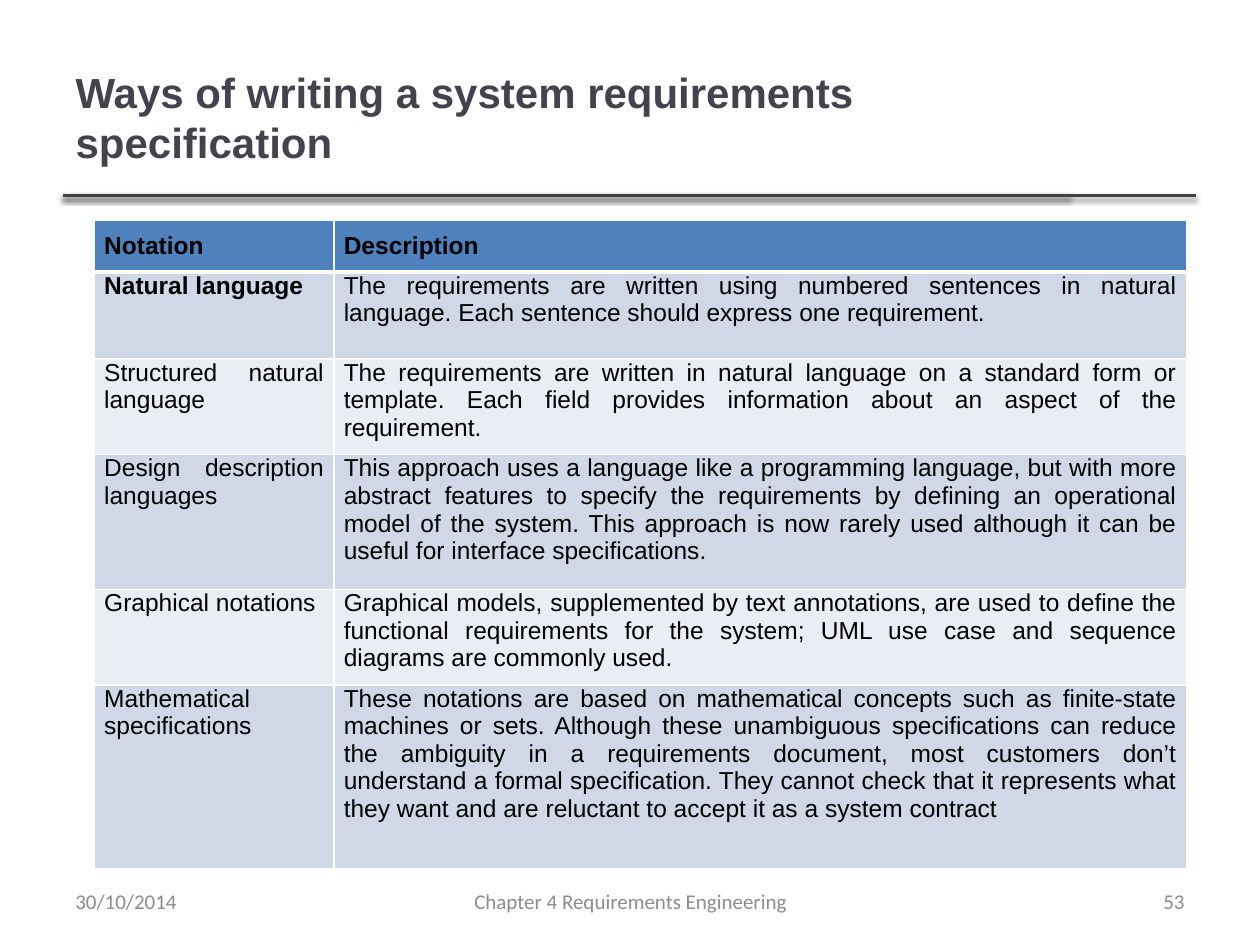
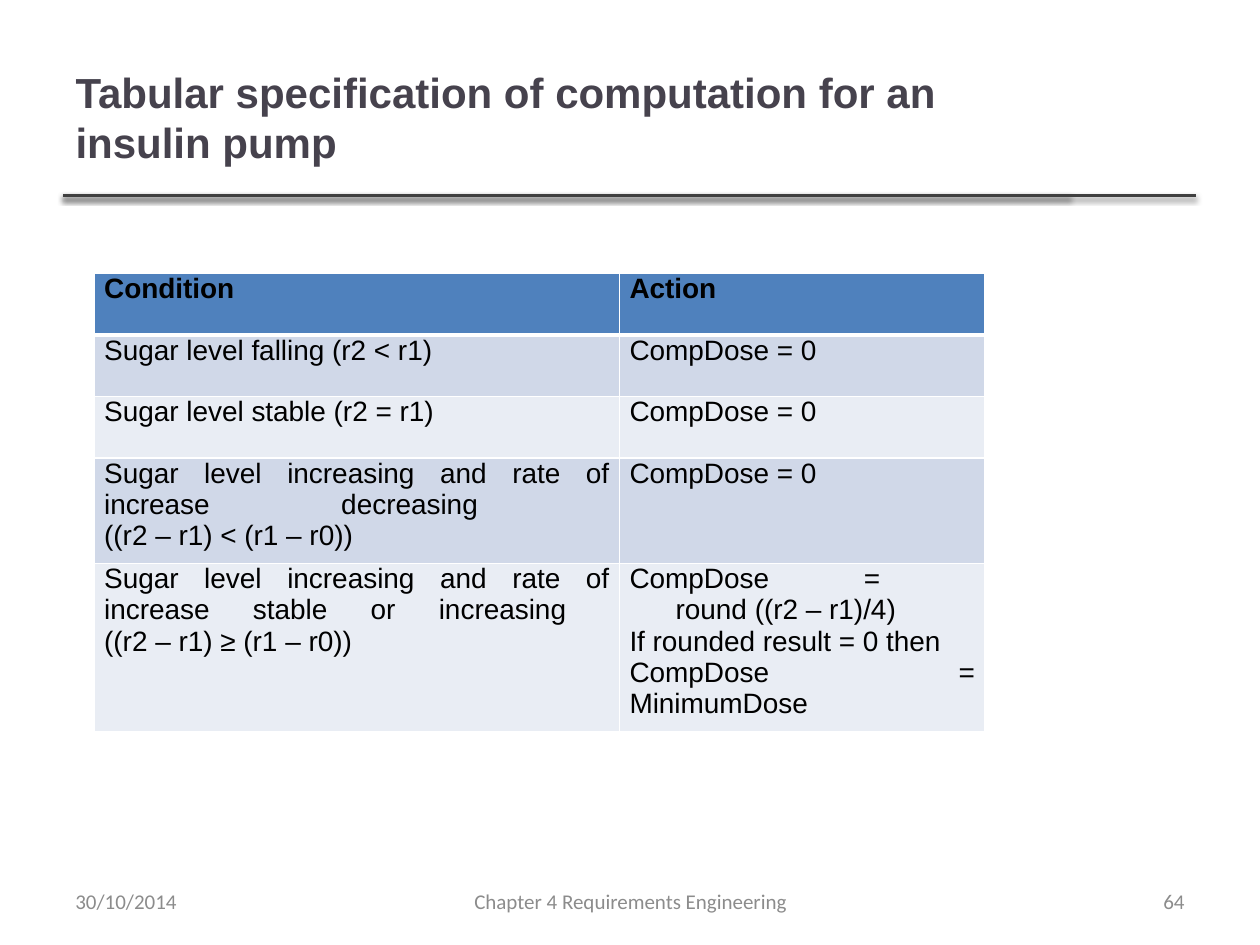
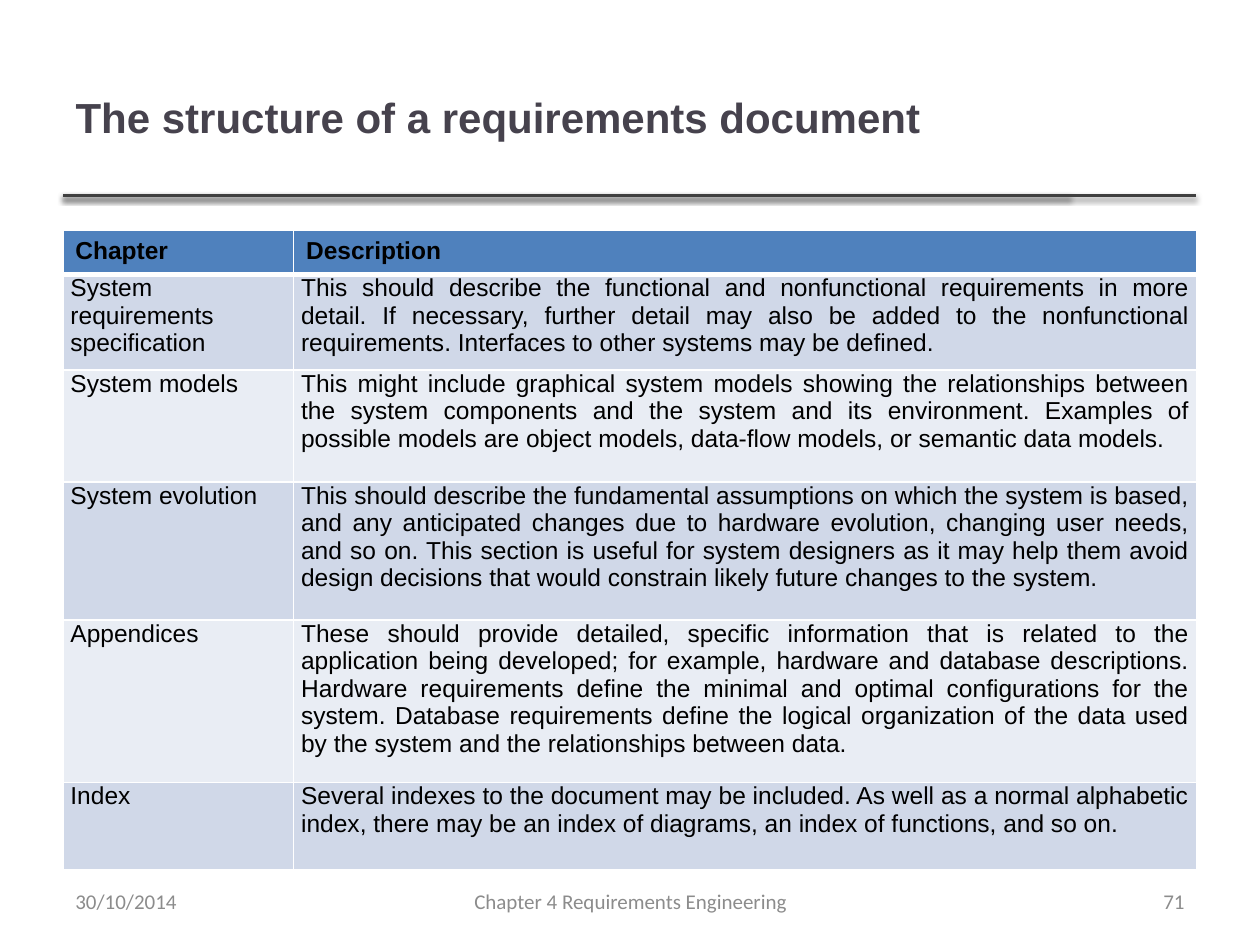
from copy import deepcopy
from dataclasses import dataclass

from lxml import etree
from pptx import Presentation
from pptx.dml.color import RGBColor
from pptx.enum import shapes, text
from pptx.oxml import ns, parse_xml
from pptx.util import Cm, Pt

# Shared look
HUES = {
    "ink": "000000", "title": "46424D", "rule": "404040", "foot": "8C8C8C",
    "head": "4F81BD", "odd": "D0D8E8", "even": "E9EDF4", "edge": "FFFFFF",
}
LEFT, MID, RIGHT, FULL = (
    text.PP_ALIGN.LEFT, text.PP_ALIGN.CENTER, text.PP_ALIGN.RIGHT, text.PP_ALIGN.JUSTIFY)
TITLE = {"name": "Arial", "size": Pt(24), "bold": True}
FOOT = {"name": "Calibri", "size": Pt(12), "bold": False}
BOX = {"word_wrap": True, "auto_size": text.MSO_AUTO_SIZE.NONE,
       "vertical_anchor": text.MSO_ANCHOR.MIDDLE}
RULE_Y = 3.94
HANG = 0.93
SHADOW = (
    f'<a:effectLst {ns.nsdecls("a")}><a:outerShdw blurRad="{Pt(3.1)}" dist="{Pt(1.6)}" '
    'dir="5400000" rotWithShape="0"><a:srgbClr val="000000"><a:alpha val="38000"/>'
    '</a:srgbClr></a:outerShdw></a:effectLst>')

Cell = str | tuple[str, ...]  # a tuple holds several paragraphs
Pad = tuple[float, float, float, float]  # left, top, right, bottom


@dataclass
class Grid:
    left: float
    top: float
    cols: list[float]
    rows: list[float]
    size: int
    pad: Pad
    head_pad: Pad
    aligns: tuple  # of the header cells
    cells: list[tuple[Cell, Cell]]
    bold: tuple = ()  # bold cells below the header


@dataclass
class Page:
    title: str
    number: int
    grid: Grid


# Helpers
def rgb(hue: str) -> RGBColor:
    return RGBColor.from_string(HUES[hue])


def apply(obj, values: dict) -> None:
    for key, value in values.items():
        setattr(obj, key, value)


def write(para, words: str, look: dict, hue: str, align) -> None:
    """Fill a paragraph; a newline is a line break with the same font."""
    para.text = words
    para.alignment = align
    for run in para.runs:
        apply(run.font, look)
        run.font.color.rgb = rgb(hue)
    for gap in para._p.findall(ns.qn("a:br")):
        gap.append(deepcopy(para.runs[0]._r.rPr))


def add_rule(slide, end: float) -> None:
    line = slide.shapes.add_connector(
        shapes.MSO_CONNECTOR.STRAIGHT, Cm(1.27), Cm(RULE_Y), Cm(end), Cm(RULE_Y))
    line.line.width = Pt(2)
    line.line.color.rgb = rgb("rule")
    line._element.spPr.append(parse_xml(SHADOW))


def add_foot(slide, left: float, width: float, words: str, align) -> None:
    box = slide.shapes.add_textbox(Cm(left), Cm(17.65), Cm(width), Cm(1.02))
    apply(box.text_frame, BOX)
    write(box.text_frame.paragraphs[0], words, FOOT, "foot", align)


def add_edges(cell, row: int) -> None:
    props = cell._tc.get_or_add_tcPr()
    widths = {"L": 1, "R": 1, "T": 3 if row == 1 else 1, "B": 3 if row == 0 else 1}
    for side, width in widths.items():
        edge = etree.SubElement(props, ns.qn(f"a:ln{side}"), w=str(Pt(width)))
        fill = etree.SubElement(edge, ns.qn("a:solidFill"))
        etree.SubElement(fill, ns.qn("a:srgbClr"), val=HUES["edge"])


def fill_cell(cell, grid: Grid, row: int, col: int) -> None:
    head = row == 0
    sides = ("margin_left", "margin_top", "margin_right", "margin_bottom")
    apply(cell, dict(zip(sides, map(Cm, grid.head_pad if head else grid.pad))))
    add_edges(cell, row)
    cell.fill.solid()
    cell.fill.fore_color.rgb = rgb("head" if head else "odd" if row % 2 else "even")

    words = grid.cells[row][col]
    look = {"name": "Arial", "size": Pt(grid.size), "bold": head or (row, col) in grid.bold}
    frame = cell.text_frame
    for i, part in enumerate((words,) if isinstance(words, str) else words):
        para = frame.add_paragraph() if i else frame.paragraphs[0]
        write(para, part, look, "ink", grid.aligns[col] if head else FULL)
        if i == 0 and not isinstance(words, str):  # indent the line after the break
            props = para._p.get_or_add_pPr()
            props.set("marL", str(Cm(HANG)))
            props.set("indent", str(-Cm(HANG)))


def add_grid(slide, grid: Grid) -> None:
    table = slide.shapes.add_table(
        len(grid.rows), len(grid.cols), Cm(grid.left), Cm(grid.top),
        Cm(sum(grid.cols)), Cm(sum(grid.rows))).table
    table.horz_banding = False
    for col, width in zip(table.columns, grid.cols):
        col.width = Cm(width)
    for r, height in enumerate(grid.rows):
        table.rows[r].height = Cm(height)
        for c in range(len(grid.cols)):
            fill_cell(table.cell(r, c), grid, r, c)


def add_page(deck, page: Page) -> None:
    slide = deck.slides.add_slide(deck.slide_layouts[5])
    title = slide.shapes.title
    apply(title, {"left": Cm(1.27), "top": Cm(0.76), "width": Cm(20.27), "height": Cm(3.18)})
    apply(title.text_frame, BOX)
    write(title.text_frame.paragraphs[0], page.title, TITLE, "title", LEFT)
    for end in (21.56, 24.1):
        add_rule(slide, end)
    add_grid(slide, page.grid)
    add_foot(slide, 1.27, 5.92, "30/10/2014", LEFT)
    add_foot(slide, 8.69, 8.05, "Chapter 4 Requirements Engineering", MID)
    add_foot(slide, 18.21, 5.92, str(page.number), RIGHT)


# Content
NOTATIONS = Grid(
    1.9, 4.43, [4.83, 17.2], [1.02, 1.75, 1.93, 2.72, 1.92, 3.71], 14,
    (0.2, 0, 0.2, 0.25), (0.2, 0.25, 0.2, 0.25), (LEFT, FULL),
    [
        ("Notation", "Description"),
        ("Natural language",
         "The requirements are written using numbered sentences in natural language. "
         "Each sentence should express one requirement."),
        ("Structured natural language",
         "The requirements are written in natural language on a standard form or template. "
         "Each field provides information about an aspect of the requirement."),
        ("Design description languages",
         "This approach uses a language like a programming language, but with more abstract "
         "features to specify the requirements by defining an operational model of the system. "
         "This approach is now rarely used although it can be useful for interface "
         "specifications."),
        ("Graphical notations",
         "Graphical models, supplemented by text annotations, are used to define the "
         "functional requirements for the system; UML use case and sequence diagrams are "
         "commonly used."),
        ("Mathematical specifications",
         "These notations are based on mathematical concepts such as finite-state machines or "
         "sets. Although these unambiguous specifications can reduce the ambiguity in a "
         "requirements document, most customers don’t understand a formal specification. They "
         "cannot check that it represents what they want and are reluctant to accept it as a "
         "system contract"),
    ],
    bold=((1, 0),),
)
DOSES = Grid(
    1.9, 5.51, [10.59, 7.37], [1.24] * 3 + [2.13, 3.39], 16,
    (0.2, 0, 0.2, 0.25), (0.2, 0, 0.2, 0.25), (FULL, FULL),
    [
        ("Condition", "Action"),
        ("Sugar level falling (r2 < r1)", "CompDose = 0"),
        ("Sugar level stable (r2 = r1)", "CompDose = 0"),
        ("Sugar level increasing and rate of increase decreasing \n((r2 – r1) < (r1 – r0))",
         "CompDose = 0"),
        ("Sugar level increasing and rate of increase stable or increasing \n"
         "((r2 – r1) ≥ (r1 – r0))",
         ("CompDose = \nround ((r2 – r1)/4)", "If rounded result = 0 then ",
          "CompDose = MinimumDose")),
    ],
)
CHAPTERS = Grid(
    1.27, 4.65, [4.65, 18.21], [0.88, 1.93, 2.26, 2.78, 3.28, 1.75], 14,
    (0.15, 0, 0.15, 0.25), (0.25, 0.13, 0.25, 0.13), (LEFT, LEFT),
    [
        ("Chapter", "Description"),
        ("System requirements specification",
         "This should describe the functional and nonfunctional requirements in more detail. "
         "If necessary, further detail may also be added to the nonfunctional requirements. "
         "Interfaces to other systems may be defined."),
        ("System models",
         "This might include graphical system models showing the relationships between the "
         "system components and the system and its environment. Examples of possible models "
         "are object models, data-flow models, or semantic data models. "),
        ("System evolution",
         "This should describe the fundamental assumptions on which the system is based, and "
         "any anticipated changes due to hardware evolution, changing user needs, and so on. "
         "This section is useful for system designers as it may help them avoid design "
         "decisions that would constrain likely future changes to the system."),
        ("Appendices",
         "These should provide detailed, specific information that is related to the "
         "application being developed; for example, hardware and database descriptions. "
         "Hardware requirements define the minimal and optimal configurations for the system. "
         "Database requirements define the logical organization of the data used by the "
         "system and the relationships between data. "),
        ("Index",
         "Several indexes to the document may be included. As well as a normal alphabetic "
         "index, there may be an index of diagrams, an index of functions, and so on."),
    ],
)
PAGES = [
    Page("Ways of writing a system requirements specification", 53, NOTATIONS),
    Page("Tabular specification of computation for an insulin pump", 64, DOSES),
    Page("The structure of a requirements document", 71, CHAPTERS),
]


def main() -> None:
    deck = Presentation()
    apply(deck, {"slide_width": Cm(25.4), "slide_height": Cm(19.05)})
    for page in PAGES:
        add_page(deck, page)
    deck.save("out.pptx")


if __name__ == "__main__":
    main()
